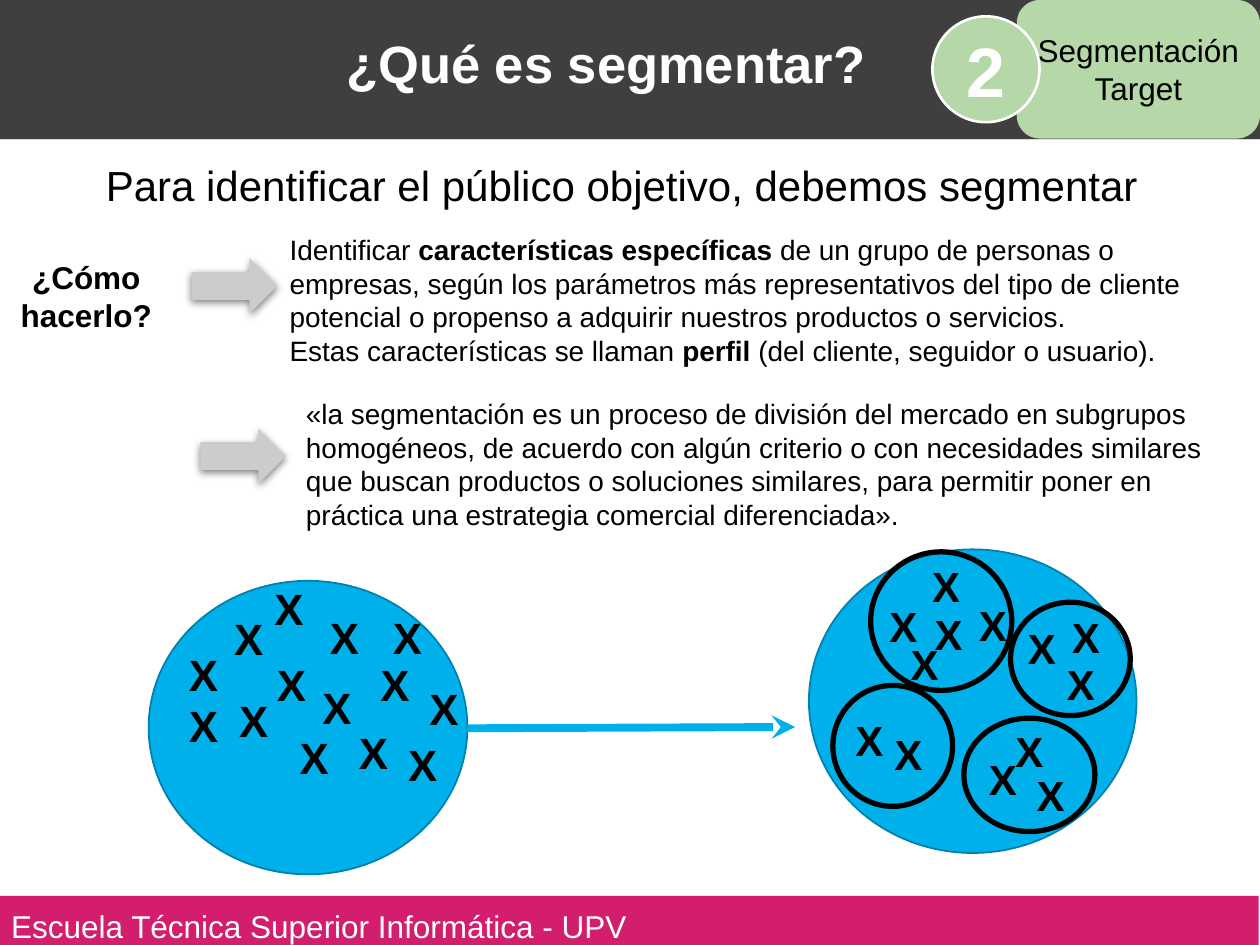
from lxml import etree
from pptx import Presentation
from pptx.dml.color import RGBColor
from pptx.enum.shapes import MSO_CONNECTOR as Conn, MSO_SHAPE as Kind
from pptx.enum.text import MSO_ANCHOR as Anchor, MSO_AUTO_SIZE as Fit, PP_ALIGN as Align
from pptx.oxml import parse_xml
from pptx.oxml.ns import nsdecls, qn
from pptx.util import Inches, Pt

hue = RGBColor.from_string


def draw(kind, box, fill=None, line=None, width=1):
    """Add a preset shape without shadow."""
    shape = shapes.add_shape(kind, *map(Inches, box))
    shape.shadow.inherit = False
    if fill:
        shape.fill.solid()
        shape.fill.fore_color.rgb = hue(fill)
    else:
        shape.fill.background()
    if line:
        shape.line.color.rgb = hue(line)
        shape.line.width = Pt(width)
    else:
        shape.line.fill.background()
    return shape


def write(shape, text, size, color="000000", bold=False, align=Align.LEFT,
          anchor=Anchor.TOP, side=0.1, pad=0.1):
    """Fill a shape with text; ** switches bold on and off."""
    frame = shape.text_frame
    frame.word_wrap = True
    frame.auto_size = Fit.NONE
    frame.vertical_anchor = anchor
    frame.margin_left = frame.margin_right = Inches(side)
    frame.margin_top = frame.margin_bottom = Inches(pad)
    for i, row in enumerate(text.split("\n")):
        para = frame.add_paragraph() if i else frame.paragraphs[0]
        para.alignment = align
        for j, part in enumerate(row.split("**")):
            run = para.add_run()
            run.text = part
            run.font.name = "Arial"
            run.font.size = Pt(size)
            run.font.bold = bold or j % 2 == 1
            run.font.color.rgb = hue(color)


deck = Presentation()
deck.slide_width, deck.slide_height = Inches(10), Inches(7.5)
slide = deck.slides.add_slide(deck.slide_layouts[5])
shapes = slide.shapes

# Header and footer bands
draw(Kind.RECTANGLE, (0, 0, 10, 1.11), "3F3F3F")
rule = shapes.add_connector(Conn.STRAIGHT, 0, Inches(1.11), Inches(10), Inches(1.11))
rule.line.color.rgb = hue("D7D7D7")
rule.line.width = Pt(0.75)
foot = draw(Kind.RECTANGLE, (-0.01, 7.11, 10, 0.47), "D21E6D")
write(foot, "Escuela Técnica Superior Informática - UPV", 18, "FFFFFF", anchor=Anchor.MIDDLE)

# Title, raised above the header band
title = shapes.title
title.left, title.top, title.width, title.height = map(Inches, (0.95, 0.2, 7.72, 0.71))
write(title, "¿Qué es segmentar?", 30, "FFFFFF", True, Align.CENTER, pad=0.05)
shapes.element.append(title.element)

# Section tag and number
tag = draw(Kind.ROUNDED_RECTANGLE, (8.07, 0, 1.93, 1.1), "B6D7A8")
write(tag, "Segmentación\nTarget", 18, align=Align.CENTER, anchor=Anchor.MIDDLE, side=0, pad=0)
badge = draw(Kind.OVAL, (7.4, 0.13, 0.85, 0.84), "B6D7A8", "FFFFFF", 1.5)
write(badge, "2", 40, "FFFFFF", True, Align.CENTER, Anchor.MIDDLE, pad=0.05)

# Lead line and question
lead = shapes.add_textbox(*map(Inches, (0.27, 1.17, 9.33, 0.6)))
write(lead, "Para identificar el público objetivo, debemos segmentar", 24, align=Align.CENTER)
ask = shapes.add_textbox(*map(Inches, (-0.07, 1.9, 1.51, 0.9)))
write(ask, "¿Cómo hacerlo?", 18, bold=True, align=Align.CENTER, anchor=Anchor.MIDDLE)

# Answers
answer = draw(Kind.RECTANGLE, (2.2, 1.67, 7.74, 1.42), "FFFFFF")
write(answer, "Identificar **características específicas** de un grupo de personas o "
      "empresas, según los parámetros más representativos del tipo de cliente "
      "potencial o propenso a adquirir nuestros productos o servicios.\n"
      "Estas características se llaman **perfil **(del cliente, seguidor o usuario).",
      16, anchor=Anchor.MIDDLE)
quote = shapes.add_textbox(*map(Inches, (2.33, 3.1, 7.39, 1.72)))
write(quote, "«la segmentación es un proceso de división del mercado en subgrupos "
      "homogéneos, de acuerdo con algún criterio o con necesidades similares que "
      "buscan productos o soluciones similares, para permitir poner en práctica una "
      "estrategia comercial diferenciada».", 16, pad=0.05)

# Block arrows with a soft shadow
for x, y in [(1.52, 2.05), (1.59, 3.4)]:
    arrow = draw(Kind.RIGHT_ARROW, (x, y, 0.68, 0.44), "CCCCCC")
    glow = arrow.element.spPr.find(qn("a:effectLst"))
    glow.append(parse_xml(
        f'<a:outerShdw {nsdecls("a")} blurRad="57150" dist="19050" dir="5400000" '
        'algn="bl" rotWithShape="0"><a:srgbClr val="000000"><a:alpha val="50000"/>'
        '</a:srgbClr></a:outerShdw>'))

# Whole market, segmented market and its segments
for box in [(1.18, 4.61, 2.53, 2.33), (6.42, 4.36, 2.6, 2.41)]:
    draw(Kind.OVAL, box, "00B0EA", "0080AC")
for box in [(7.65, 5.7, 1.04, 0.9), (8.02, 4.78, 0.95, 0.9),
            (6.61, 5.44, 0.95, 0.96), (6.91, 4.38, 1.12, 1.1)]:
    draw(Kind.OVAL, box, line="000000", width=3)

# Customers, before and after
whole = [(1.76, 4.81), (2.08, 4.57), (1.4, 5.5), (2.1, 5.17), (2.52, 4.8),
         (2.75, 5.71), (2.92, 5.17), (2.28, 5.75), (2.46, 5.35), (3.14, 5.81),
         (3.31, 5.36), (3.02, 4.8), (1.4, 5.09), (1.8, 5.46)]
split = [(6.96, 4.72), (7.3, 4.4), (6.69, 5.62), (7.32, 4.78), (7.67, 4.71),
         (7.96, 5.71), (8.37, 5.18), (7.75, 5.93), (8.06, 4.89), (8.13, 6.06),
         (8.41, 4.8), (7.13, 5.02), (7, 5.73)]
for spots, size, wide, high in [(whole, 25, 0.34, 0.56), (split, 24, 0.37, 0.58)]:
    for x, y in spots:
        mark = shapes.add_textbox(*map(Inches, (x, y, wide, high)))
        write(mark, "X", size, bold=True, pad=0.05)

# Arrow from the whole market to the segments
link = shapes.add_connector(Conn.STRAIGHT, *map(Inches, (3.71, 5.78, 6.31, 5.77)))
link.line.color.rgb = hue("00B0EA")
link.line.width = Pt(4.5)
etree.SubElement(link.line._get_or_add_ln(), qn("a:tailEnd"), type="stealth")
for line in (rule, link):
    etree.SubElement(line.element.spPr, qn("a:effectLst"))

deck.save("out.pptx")
